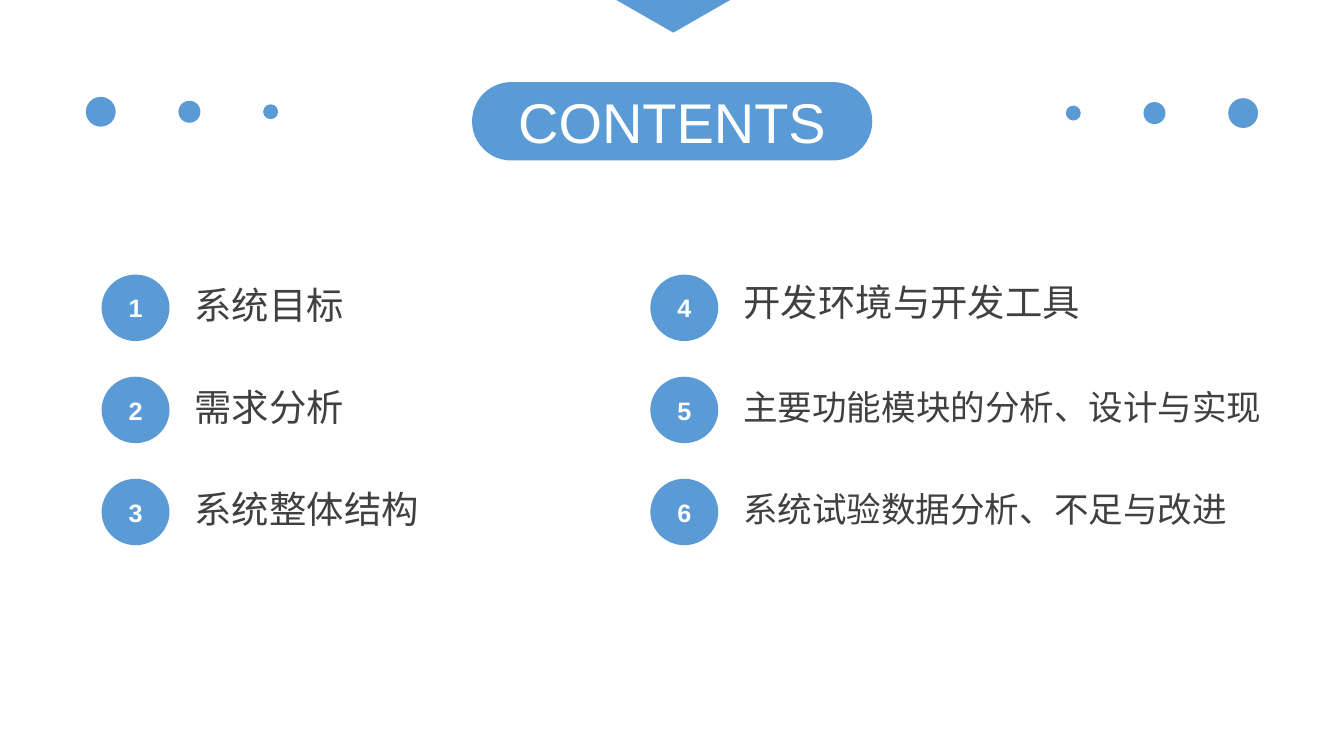
"""Builds a contents slide with six numbered topics in two columns."""
import pptx
import pptx.dml.color
import pptx.enum.shapes
import pptx.enum.text
import pptx.util

Pt = pptx.util.Pt
Shape = pptx.enum.shapes.MSO_SHAPE
Align = pptx.enum.text.PP_ALIGN
BLUE, WHITE, GREY = "5B9BD5", "FFFFFF", "404040"


def colour(value):
    return pptx.dml.color.RGBColor.from_string(value)


class ContentsSlide:
    def __init__(self, slide, font="Arial"):
        self.shapes = slide.shapes
        self.font = font

    def paint(self, shape, outline=False):
        shape.shadow.inherit = False
        shape.fill.solid()
        shape.fill.fore_color.rgb = colour(BLUE)
        if outline:
            shape.line.color.rgb = colour(BLUE)
            shape.line.width = Pt(1)
        else:
            shape.line.fill.background()

    def set_text(self, shape, text, size, ink, align, bold=False, spacing=1.0):
        frame = shape.text_frame
        frame.word_wrap = True
        frame.vertical_anchor = pptx.enum.text.MSO_ANCHOR.MIDDLE
        frame.margin_left = frame.margin_right = 0
        frame.margin_top = frame.margin_bottom = 0
        paragraph = frame.paragraphs[0]
        paragraph.text = text
        paragraph.alignment = align
        paragraph.line_spacing = spacing
        paragraph.font.name = self.font
        paragraph.font.size = Pt(size)
        paragraph.font.bold = bold
        paragraph.font.color.rgb = colour(ink)

    def dot(self, centre_x, centre_y, diameter):
        left, top = centre_x - diameter / 2, centre_y - diameter / 2
        dot = self.shapes.add_shape(Shape.OVAL, Pt(left), Pt(top), Pt(diameter), Pt(diameter))
        self.paint(dot)

    def pointer(self, left, right, depth):
        builder = self.shapes.build_freeform(Pt(left), Pt(0))
        builder.add_line_segments([(Pt(right), Pt(0)), (Pt((left + right) / 2), Pt(depth))])
        self.paint(builder.convert_to_shape())

    def heading(self, text, left, top, width, height):
        pill = self.shapes.add_shape(
            Shape.ROUNDED_RECTANGLE, Pt(left), Pt(top), Pt(width), Pt(height))
        pill.adjustments[0] = 0.5
        self.paint(pill)
        self.set_text(pill, text, 30, WHITE, Align.CENTER)

    def badge(self, number, left, top):
        badge = self.shapes.add_shape(Shape.OVAL, Pt(left), Pt(top), Pt(35.4), Pt(34.6))
        self.paint(badge, outline=True)
        self.set_text(badge, str(number), 13.5, WHITE, Align.CENTER, bold=True)

    def topic(self, text, size, left, top, width):
        label = self.shapes.add_textbox(Pt(left), Pt(top), Pt(width), Pt(38.2))
        self.set_text(label, text, size, GREY, Align.LEFT, spacing=0.9)


def main():
    deck = pptx.Presentation()
    deck.slide_width, deck.slide_height = Pt(720), Pt(405)
    page = ContentsSlide(deck.slides.add_slide(deck.slide_layouts[6]))

    for inset, diameter in ((54, 16), (101.5, 11.8), (145, 8)):
        page.dot(inset, 59.9, diameter)
        page.dot(720 - inset, 60.6, diameter)

    page.heading("CONTENTS", 252.9, 44, 214.4, 42)
    page.pointer(330.2, 391.2, 17.5)

    topics = (
        ("系统目标", 20, 89.3, 2.2),
        ("需求分析", 20, 89.3, 2.2),
        ("系统整体结构", 20, 133.9, 2.2),
        ("开发环境与开发工具", 20, 195.1, 3.6),
        ("主要功能模块的分析、设计与实现", 18.5, 286.6, 2.2),
        ("系统试验数据分析、不足与改进", 18.5, 268.6, 2.2),
    )
    for index, (title, size, width, rise) in enumerate(topics):
        column, row = divmod(index, 3)
        left, top = 54.9 + 294 * column, 147.6 + 54.7 * row
        page.badge(index + 1, left, top)
        page.topic(title, size, left + 49.4, top - rise, width)

    deck.save("out.pptx")


if __name__ == "__main__":
    main()
